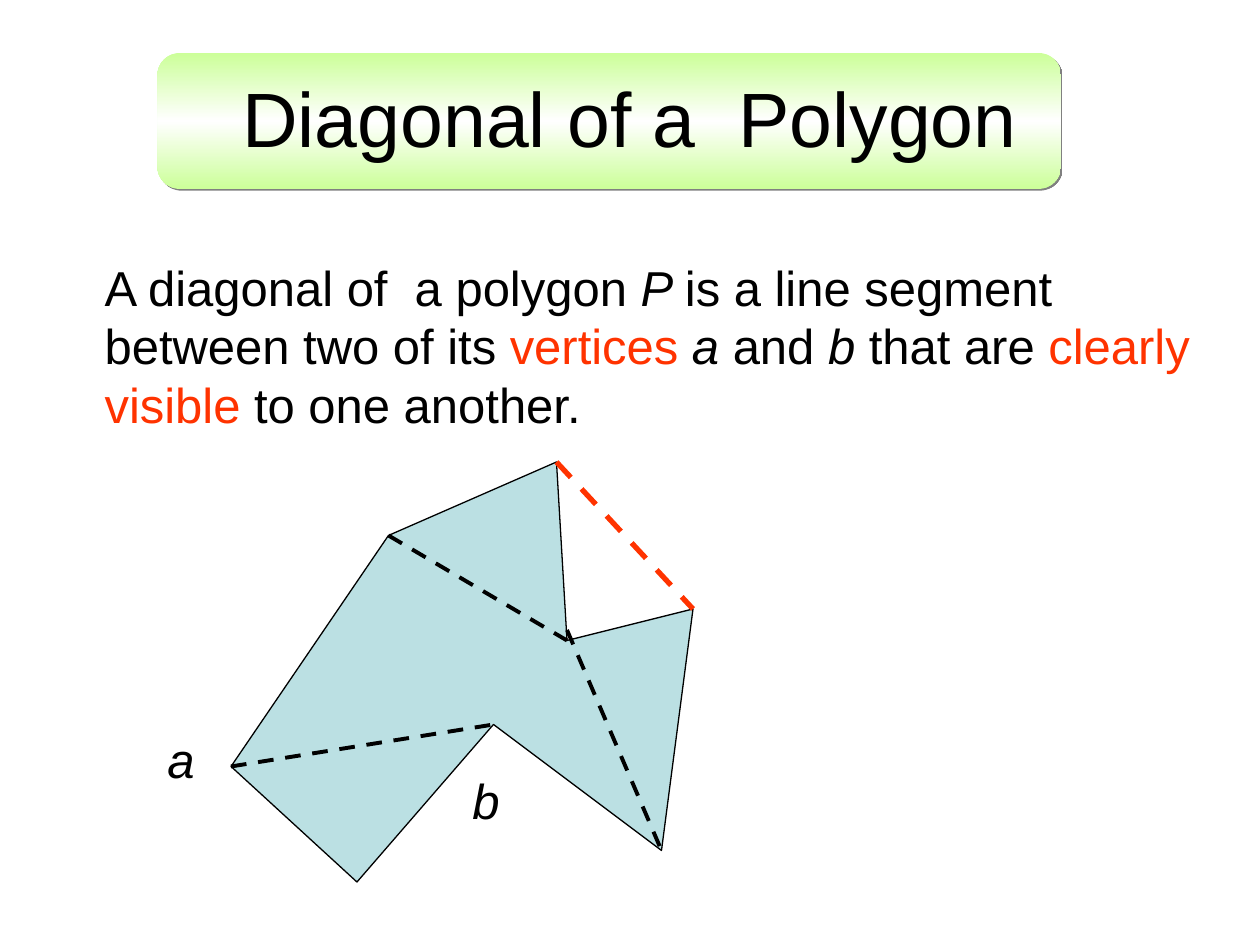
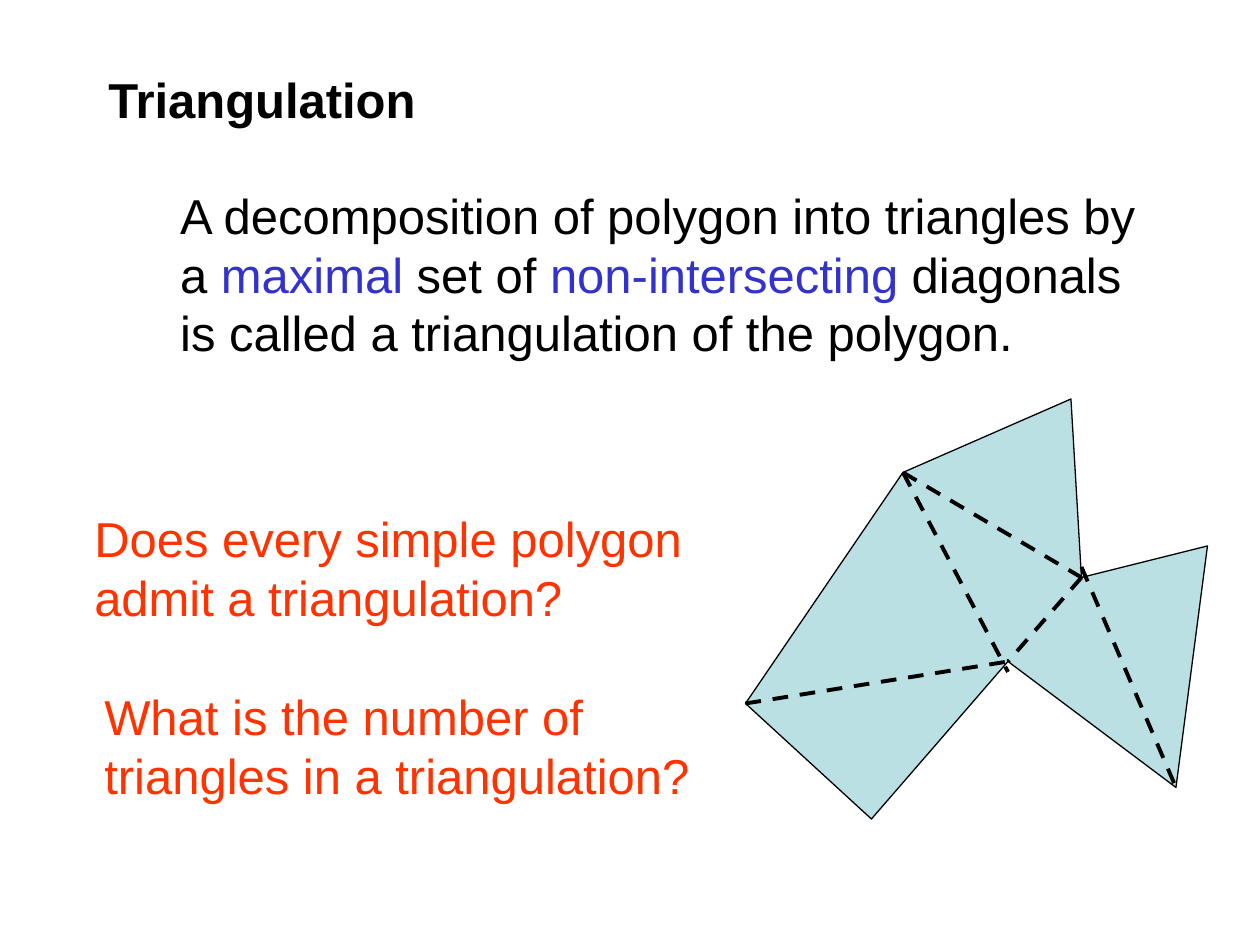
from lxml import etree
from pptx import Presentation
from pptx.dml.color import RGBColor
from pptx.enum.dml import MSO_LINE
from pptx.enum.shapes import MSO_CONNECTOR, MSO_SHAPE
from pptx.enum.text import MSO_ANCHOR, MSO_AUTO_SIZE, PP_ALIGN
from pptx.oxml import parse_xml
from pptx.oxml.ns import nsdecls, qn
from pptx.util import Inches, Pt

DASH = MSO_LINE.DASH
STRAIGHT = MSO_CONNECTOR.STRAIGHT
ROUNDED = MSO_SHAPE.ROUNDED_RECTANGLE
TOP, MIDDLE = MSO_ANCHOR.TOP, MSO_ANCHOR.MIDDLE
LEFT, CENTER = PP_ALIGN.LEFT, PP_ALIGN.CENTER
FIXED = MSO_AUTO_SIZE.NONE

FONT = "Arial"
BLACK, RED, BLUE = "000000", "FF3300", "3333CC"
POLYGON_FILL, BAND_EDGE, BAND_MIDDLE, BAND_SHADOW = "BBE0E3", "CCFF99", "FFFFFF", "808080"
UNIT = Inches(1) // 12

CORNERS = {
    "shoulder": (15, 7), "a": (0, 29), "foot": (12, 40), "b": (25, 25),
    "tail": (41, 37), "wing": (44, 14), "notch": (32, 17), "peak": (31, 0),
    "above notch": (32, 16), "below b": (25, 26),
}
OUTLINE = ["shoulder", "a", "foot", "b", "tail", "wing", "notch", "peak"]
SHARED_DIAGONALS = [("a", "b"), ("shoulder", "notch"), ("above notch", "tail")]
OUTER_SEGMENT = ("peak", "wing")
EXTRA_DIAGONALS = [("notch", "b"), ("shoulder", "below b")]

BAND_AT = (1.25, 0.42, 7.17, 1.08)
DIAGONAL = {
    "title": "Diagonal of a  Polygon",
    "title_at": (0.5, 0.3, 9, 1.25),
    "title_format": {"size": 44, "align": CENTER, "anchor": MIDDLE},
    "body": [
        ("A diagonal of  a polygon ",), ("P ", BLACK, True),
        ("is a line segment between two of its",), (" vertices ", RED),
        ("a", BLACK, True), (" and ",), ("b", BLACK, True), (" that are ",),
        ("clearly visible", RED), (" to one another.",),
    ],
    "body_at": (0.73, 1.99, 8.93, 1.5),
    "notes": [
        ([("a", BLACK, True)], (1.23, 5.74, 0.41, 0.57)),
        ([("b", BLACK, True)], (3.65, 6.07, 0.41, 0.57)),
    ],
    "origin": (22, 44),
}
TRIANGULATION = {
    "title": "Triangulation",
    "title_at": (0.76, 0.5, 2.66, 0.57),
    "title_format": {"bold": True, "wrap": False},
    "body": [
        ("A decomposition of polygon into triangles by a ",), ("maximal", BLUE),
        (" set of ",), ("non-intersecting", BLUE),
        (" diagonals is called a triangulation of the polygon.",),
    ],
    "body_at": (1.33, 1.42, 8.02, 1.5),
    "notes": [
        ([("Does every simple polygon admit a triangulation?", RED)], (0.65, 3.99, 5.6, 1.04)),
        ([("What is the number of triangles in a triangulation?", RED)], (0.73, 5.4, 4.93, 1.04)),
    ],
    "origin": (71, 38),
}


def colour(value):
    return RGBColor.from_string(value)


def inches(values):
    return [Inches(value) for value in values]


def write(box, spans, size=28, bold=False, align=LEFT, anchor=TOP, wrap=True):
    frame = box.text_frame
    frame.auto_size = FIXED
    frame.word_wrap = wrap
    frame.vertical_anchor = anchor
    para = frame.paragraphs[0]
    para.alignment = align
    para.space_before = Pt(0)
    for text, tint, italic in ((*span, BLACK, False)[:3] if len(span) != 2 else (*span, False) for span in spans):
        span = para.add_run()
        span.text = text
        font = span.font
        font.name, font.size = FONT, Pt(size)
        font.bold, font.italic = bold, italic
        font.color.rgb = colour(tint)


def place(box, at):
    box.left, box.top, box.width, box.height = inches(at)


def remove_bullet(box):
    properties = box.text_frame.paragraphs[0]._p.get_or_add_pPr()
    properties.set("marL", "0")
    properties.set("indent", "0")
    etree.SubElement(properties, qn("a:buNone"))


def add_page(deck, content):
    page = deck.slides.add_slide(deck.slide_layouts[1])
    title, body = page.placeholders
    place(title, content["title_at"])
    write(title, [(content["title"],)], **content["title_format"])
    place(body, content["body_at"])
    write(body, content["body"])
    remove_bullet(body)
    for spans, at in content["notes"]:
        write(page.shapes.add_textbox(*inches(at)), spans)
    return page


def add_band(page):
    band = page.shapes.add_shape(ROUNDED, *inches(BAND_AT))
    band.line.fill.background()
    stops = "".join(
        f'<a:gs pos="{share * 1000}"><a:srgbClr val="{tint}"/></a:gs>'
        for share, tint in [(0, BAND_EDGE), (50, BAND_MIDDLE), (100, BAND_EDGE)]
    )
    properties = band.element.spPr
    properties.find(qn("a:prstGeom")).addnext(parse_xml(
        f'<a:gradFill {nsdecls("a")}><a:gsLst>{stops}</a:gsLst><a:lin ang="5400000"/></a:gradFill>'
    ))
    properties.append(parse_xml(
        f'<a:effectLst {nsdecls("a")}><a:outerShdw dist="{Pt(1.4)}" dir="2700000">'
        f'<a:srgbClr val="{BAND_SHADOW}"/></a:outerShdw></a:effectLst>'
    ))
    band.element.getparent().insert(2, band.element)


def add_polygon(shapes, origin):
    start, *others = [CORNERS[name] for name in OUTLINE]
    builder = shapes.build_freeform(*start, scale=UNIT)
    builder.add_line_segments(others, close=True)
    polygon = builder.convert_to_shape(*[UNIT * value for value in origin])
    polygon.shadow.inherit = False
    polygon.fill.solid()
    polygon.fill.fore_color.rgb = colour(POLYGON_FILL)
    polygon.line.color.rgb = colour(BLACK)
    polygon.line.width = Pt(0.75)


def add_segment(shapes, origin, ends, tint=BLACK, width=2.25):
    points = [
        UNIT * (shift + value)
        for name in ends
        for shift, value in zip(origin, CORNERS[name])
    ]
    segment = shapes.add_connector(STRAIGHT, *points)
    segment.line.color.rgb = colour(tint)
    segment.line.width = Pt(width)
    segment.line.dash_style = DASH
    etree.SubElement(segment.element.spPr, qn("a:effectLst"))


def add_figure(shapes, origin, diagonals):
    add_polygon(shapes, origin)
    for ends in diagonals:
        add_segment(shapes, origin, ends)


def main():
    deck = Presentation()
    deck.slide_width, deck.slide_height = inches((10, 7.5))

    page = add_page(deck, DIAGONAL)
    add_band(page)
    add_figure(page.shapes, DIAGONAL["origin"], SHARED_DIAGONALS)
    add_segment(page.shapes, DIAGONAL["origin"], OUTER_SEGMENT, tint=RED, width=3)

    page = add_page(deck, TRIANGULATION)
    group = page.shapes.add_group_shape()
    add_figure(group.shapes, TRIANGULATION["origin"], SHARED_DIAGONALS + EXTRA_DIAGONALS)

    deck.save("out.pptx")


if __name__ == "__main__":
    main()
